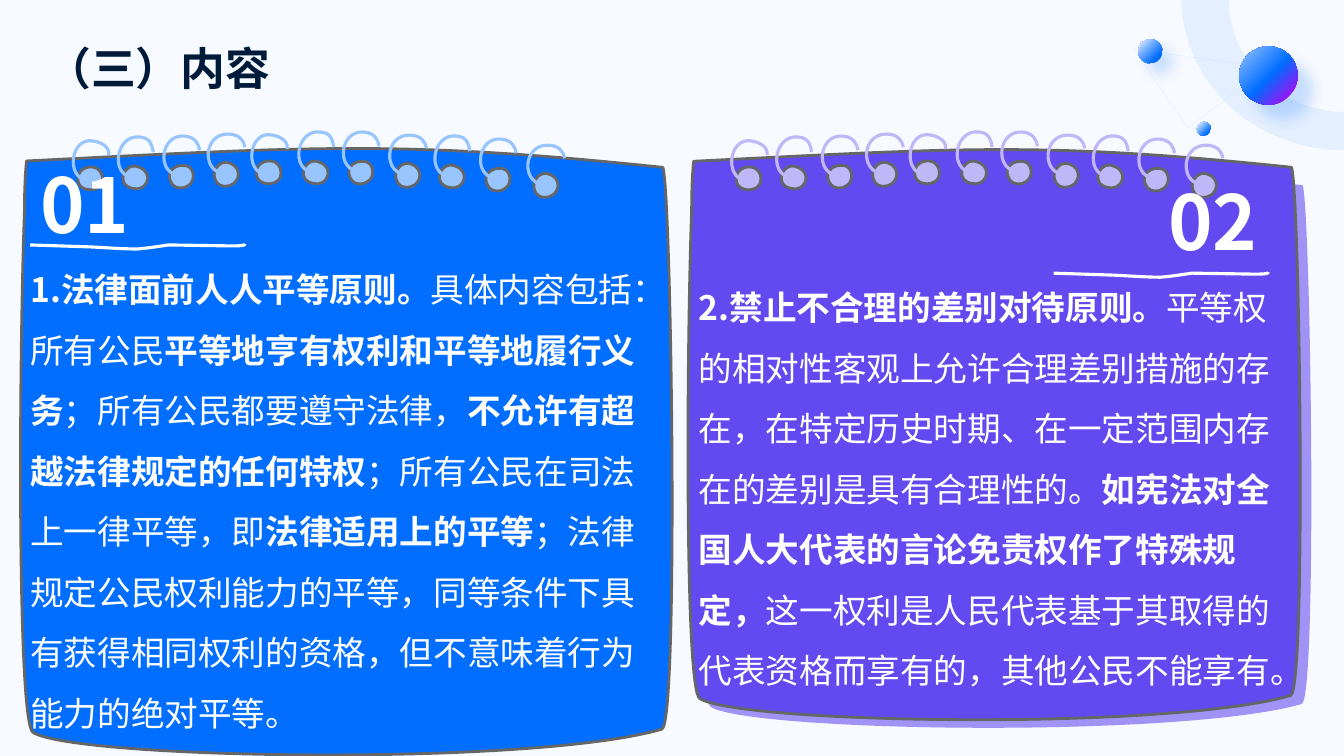
import pptx
import pptx.dml.color
import pptx.enum.shapes
import pptx.enum.text
import pptx.oxml
import pptx.oxml.ns
import pptx.util
from pptx.util import Inches

RGBColor = pptx.dml.color.RGBColor
PAPER = RGBColor(0xF7, 0xFA, 0xFF)
NAVY = RGBColor(0x00, 0x1A, 0x3A)
WHITE = RGBColor(0xFF, 0xFF, 0xFF)
GREY = RGBColor(0x66, 0x66, 0x66)
BLUE = RGBColor(0x01, 0x6E, 0xFF)
MID_BLUE = RGBColor(0x67, 0xA8, 0xFF)
LIGHT_BLUE = RGBColor(0x99, 0xC5, 0xFF)
PALE_BLUE = RGBColor(0xCC, 0xE2, 0xFF)
MAGENTA = RGBColor(0x96, 0x18, 0xF4)
PURPLE = RGBColor(0x62, 0x4A, 0xF0)
MID_PURPLE = RGBColor(0xA1, 0x92, 0xF6)
LIGHT_PURPLE = RGBColor(0xC0, 0xB7, 0xF9)

# Outlines in inches: a start point, then lines (2 numbers) and curves (6 numbers)
CARD_SIZE = (6.07, 5.66)
CARD = [(.06, .11), (.05, .2, .04, .36, .04, .59), (-.01, 1.94, -.03, 5.35, .12, 5.44),
        (.52, 5.69, 4.77, 5.76, 5.98, 5.41), (6.14, 5.36, 6.07, .41, 5.99, .17),
        (3.52, -.09, 2.68, -.02, .06, .11)]
UNDERLINE = [(0, .01), (.61, .03), (.79, .04, .94, .05, 1.06, .05),
             (1.19, .04, 1.37, .01, 1.37, .01), (2, .02), (2.12, .02, 2.13, .01, 2.13, 0)]
# Each ring kind: hole outline and wire outline, measured from the hole's corner
RINGS = {
    "A": ([(.18, .01), (.1, -.03, -.04, .02, 0, .16), (.03, .24, .19, .25, .23, .16),
           (.25, .1, .23, .04, .18, .01)],
          [(.3, -.12), (.31, -.17, .27, -.24, .15, -.26), (-.08, -.31, -.13, .1, .08, .13)]),
    "B": ([(.19, .21), (.27, .16, .27, .03, .13, 0), (.04, -.02, -.04, .1, .02, .18),
           (.05, .22, .14, .24, .19, .21)],
          [(.3, -.14), (.29, -.2, .28, -.28, .17, -.29), (-.07, -.32, -.13, .08, .09, .11)]),
    "C": ([(.19, .2), (.27, .15, .25, -.01, .13, 0), (.04, 0, -.05, .08, .03, .19),
           (.06, .23, .14, .24, .19, .2)],
          [(.3, -.15), (.29, -.21, .26, -.28, .15, -.29), (-.09, -.31, -.13, .07, .09, .1)]),
    "D": ([(.2, .21), (.28, .14, .25, .02, .13, 0), (.05, -.01, -.04, .1, .03, .2),
           (.06, .25, .15, .25, .2, .21)],
          [(.31, -.15), (.3, -.21, .26, -.28, .14, -.28), (-.1, -.28, -.12, .08, .09, .11)]),
}
RING_KINDS = "ABCDABCDBCD"
RING_LEFTS = [.78, 1.22, 1.68, 2.12, 2.55, 3.01, 3.46, 3.92, 4.36, 4.82, 5.29]
RING_TOPS = [1.66, 1.65, 1.64, 1.61, 1.6, 1.6, 1.6, 1.62, 1.64, 1.67, 1.72]


def flatten(segments, steps=12):
    """List points along the segments, to find their extent."""
    points = list(segments[0])
    for segment in segments[1:]:
        if len(segment) == 1:
            points += segment
            continue
        corners = [points[-1], *segment]
        for step in range(1, steps + 1):
            t = step / steps
            weights = ((1 - t) ** 3, 3 * t * (1 - t) ** 2, 3 * t * t * (1 - t), t ** 3)
            points.append(tuple(sum(weight * corner[axis] for weight, corner in zip(weights, corners))
                                for axis in (0, 1)))
    return points


def xml(text):
    return pptx.oxml.parse_xml(text.replace(">", " " + pptx.oxml.ns.nsdecls("a") + ">", 1))


class SlideBuilder:
    font = "Noto Sans CJK SC"

    def __init__(self, presentation):
        self.slide = presentation.slides.add_slide(presentation.slide_layouts[5])
        self.slide.background.fill.solid()
        self.slide.background.fill.fore_color.rgb = PAPER

    def style_text(self, paragraph, size, color, font, bold=None):
        paragraph.font.size = pptx.util.Pt(size)
        paragraph.font.name = font
        paragraph.font.bold = bold
        paragraph.font.color.rgb = color
        latin = paragraph.font._element.find(pptx.oxml.ns.qn("a:latin"))
        latin.addnext(xml(f'<a:ea typeface="{self.font}"></a:ea>'))

    def prepare_frame(self, shape, anchor, wrap=True):
        frame = shape.text_frame
        frame.margin_left = frame.margin_right = frame.margin_top = frame.margin_bottom = 0
        frame.vertical_anchor = anchor
        frame.word_wrap = wrap
        return frame

    def title(self, text, left, top, width, height):
        shape = self.slide.shapes.title
        shape.left, shape.top = Inches(left), Inches(top)
        shape.width, shape.height = Inches(width), Inches(height)
        frame = self.prepare_frame(shape, pptx.enum.text.MSO_ANCHOR.BOTTOM)
        frame.text = text
        frame.paragraphs[0].alignment = pptx.enum.text.PP_ALIGN.LEFT
        self.style_text(frame.paragraphs[0], 32, NAVY, "Arial", True)

    def text_box(self, left, top, width, height, anchor, wrap=True):
        box = self.slide.shapes.add_textbox(*map(Inches, (left, top, width, height)))
        return self.prepare_frame(box, anchor, wrap)

    def number(self, text, left, top, width, height, alignment):
        frame = self.text_box(left, top, width, height, pptx.enum.text.MSO_ANCHOR.BOTTOM, False)
        frame.text = text
        frame.paragraphs[0].alignment = alignment
        self.style_text(frame.paragraphs[0], 54, WHITE, self.font, True)

    def body(self, paragraphs, left, top, width, height):
        """Each paragraph is a list of runs that alternate bold and regular."""
        frame = self.text_box(left, top, width, height, pptx.enum.text.MSO_ANCHOR.TOP)
        for index, runs in enumerate(paragraphs):
            paragraph = frame.add_paragraph() if index else frame.paragraphs[0]
            paragraph.line_spacing = 1.5
            for position, text in enumerate(runs):
                run = paragraph.add_run()
                run.text = text
                run.font.bold = position % 2 == 0
            self.style_text(paragraph, 24, WHITE, self.font)

    def outline(self, outline, left=0, top=0, scale=(1, 1), fill=None, line=None, weight=2, alpha=None):
        segments = [[(Inches(left + x * scale[0]), Inches(top + y * scale[1]))
                     for x, y in zip(segment[::2], segment[1::2])] for segment in outline]
        points = flatten(segments)
        closed = outline[0] == outline[-1][-2:]
        builder = self.slide.shapes.build_freeform(*points[0], scale=1.0)
        builder.add_line_segments(points[1:], close=closed)
        shape = builder.convert_to_shape()
        # Keep the extent, but draw true curves
        drawing = next(shape._element.spPr.iter(pptx.oxml.ns.qn("a:path")))
        for child in list(drawing):
            drawing.remove(child)
        for index, segment in enumerate(segments):
            tag = "moveTo" if index == 0 else "lnTo" if len(segment) == 1 else "cubicBezTo"
            corners = "".join(f'<a:pt x="{x - shape.left}" y="{y - shape.top}"/>' for x, y in segment)
            drawing.append(xml(f"<a:{tag}>{corners}</a:{tag}>"))
        if closed:
            drawing.append(xml("<a:close></a:close>"))
        shape.shadow.inherit = False
        for part, color in ((shape.fill, fill), (shape.line.fill, line)):
            if color is None:
                part.background()
                continue
            part.solid()
            part.fore_color.rgb = color
        if line is not None:
            shape.line.width = pptx.util.Pt(weight)
        if alpha:
            for color in shape._element.spPr.iter(pptx.oxml.ns.qn("a:srgbClr")):
                color.append(xml(f'<a:alpha val="{alpha * 1000}"></a:alpha>'))

    def sphere(self, left, top, size, stops, shadow_distance=None):
        shape = self.slide.shapes.add_shape(pptx.enum.shapes.MSO_SHAPE.OVAL, Inches(left),
                                            Inches(top), Inches(size), Inches(size))
        shape.shadow.inherit = False
        shape.line.fill.background()
        colors = "".join(f'<a:gs pos="{position * 1000}"><a:srgbClr val="{color}"/></a:gs>'
                         for position, color in stops)
        properties = shape._element.spPr
        properties.find(pptx.oxml.ns.qn("a:prstGeom")).addnext(xml(
            f'<a:gradFill><a:gsLst>{colors}</a:gsLst><a:path path="circle">'
            '<a:fillToRect r="100000" b="100000"/></a:path></a:gradFill>'))
        if shadow_distance:
            properties.find(pptx.oxml.ns.qn("a:effectLst")).append(xml(
                f'<a:outerShdw blurRad="{pptx.util.Pt(10)}" dist="{pptx.util.Pt(shadow_distance)}" '
                f'dir="2700000"><a:srgbClr val="{BLUE}"><a:alpha val="20000"/></a:srgbClr></a:outerShdw>'))

    def card(self, left, top, width, height, fill, line=None):
        scale = (width / CARD_SIZE[0], height / CARD_SIZE[1])
        self.outline(CARD, left, top, scale, fill, line)

    def rings(self, offset, color):
        for kind, left, top in zip(RING_KINDS, RING_LEFTS, RING_TOPS):
            hole, wire = RINGS[kind]
            self.outline(hole, left + offset, top, fill=color, line=GREY)
            self.outline(wire, left + offset, top, line=color, weight=2.25)


def main():
    presentation = pptx.Presentation()
    presentation.slide_width, presentation.slide_height = Inches(13.33), Inches(7.5)
    builder = SlideBuilder(presentation)
    align = pptx.enum.text.PP_ALIGN
    # Corner decoration
    builder.outline([(11.25, .49), (12.58, .67), (11.78, 1.27), (11.25, .49)],
                    line=PALE_BLUE, weight=.25, alpha=50)
    builder.outline([(11.72, 0), (12.19, 0), (12.19, .05), (12.22, .62, 12.69, 1.08, 13.28, 1.11),
                     (13.33, 1.11), (13.33, 1.49), (13.26, 1.49), (12.43, 1.45, 11.77, .84, 11.72, .07),
                     (11.72, 0)], fill=LIGHT_BLUE, alpha=20)
    builder.sphere(12.29, .46, .58, [(0, LIGHT_BLUE), (52, BLUE), (85, MAGENTA)], 15)
    builder.sphere(11.29, .39, .24, [(12, PALE_BLUE), (40, MID_BLUE), (75, BLUE)], 10)
    builder.sphere(11.87, 1.21, .14, [(13, PALE_BLUE), (75, BLUE)])
    builder.title("（三）内容", .46, .15, 11.81, .79)
    # Notepads
    builder.card(6.93, 1.67, 6.07, 5.56, MID_PURPLE)
    builder.card(6.82, 1.49, 6.07, 5.66, PURPLE, GREY)
    builder.rings(6.53, LIGHT_PURPLE)
    builder.card(.34, 1.58, 6.07, 5.66, MID_BLUE)
    builder.card(.2, 1.48, 6.46, 6.02, BLUE, GREY)
    builder.rings(0, LIGHT_BLUE)
    # Texts
    builder.body([["1.法律面前人人平等原则。", "具体内容包括：所有公民", "平等地亨有权利和平等地履行义务",
                   "；所有公民都要遵守法律，", "不允许有超越法律规定的任何特权",
                   "；所有公民在司法上一律平等，即", "法律适用上的平等",
                   "；法律规定公民权利能力的平等，同等条件下具有获得相同权利的资格，但不意味着行为能力的绝对平等。"]],
                 .3, 2.47, 6.11, 4.67)
    builder.body([["2.禁止不合理的差别对待原则。",
                   "平等权的相对性客观上允许合理差别措施的存在，在特定历史时期、在一定范围内存在的差别是具有合理性的。",
                   "如宪法对全国人大代表的言论免责权作了特殊规"],
                  ["定，", "这一权利是人民代表基于其取得的代表资格而享有的，其他公民不能享有。"]],
                 6.93, 2.65, 5.96, 4.34)
    # Numbers and underlines
    builder.number("01", .4, 1.49, 1.12, .98, align.LEFT)
    builder.number("02", 7.35, 1.66, 5.12, .98, align.RIGHT)
    for left, top in ((.3, 2.42), (10.45, 2.7)):
        builder.outline(UNDERLINE, left, top, line=WHITE, weight=2.25)
    presentation.save("out.pptx")


if __name__ == "__main__":
    main()
